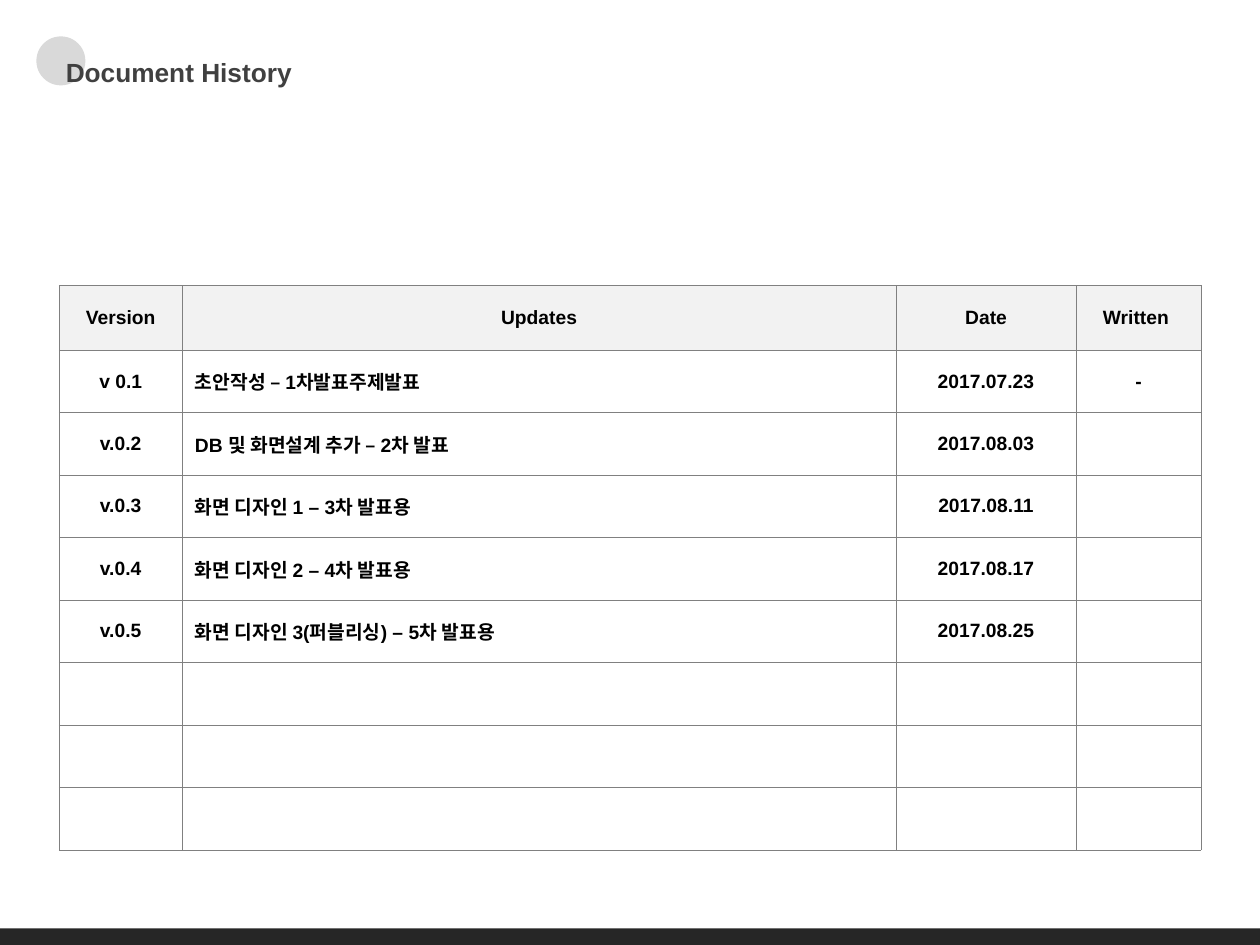
from lxml.etree import SubElement
from pptx import Presentation
from pptx.dml.color import RGBColor
from pptx.enum.shapes import MSO_SHAPE as Shape
from pptx.enum.text import MSO_ANCHOR as Anchor, MSO_AUTO_SIZE as AutoSize, PP_ALIGN as Align
from pptx.oxml import parse_xml
from pptx.oxml.ns import nsdecls, qn
from pptx.util import Pt

BLACK = RGBColor(0x00, 0x00, 0x00)
CHARCOAL = RGBColor(0x26, 0x26, 0x26)
DARK_GRAY = RGBColor(0x40, 0x40, 0x40)
BORDER_GRAY = RGBColor(0x80, 0x80, 0x80)
LIGHT_GRAY = RGBColor(0xD9, 0xD9, 0xD9)
HEADER_GRAY = RGBColor(0xF2, 0xF2, 0xF2)

COLUMN_WIDTHS = [70.4, 407.8, 103, 71.4]
HEADER_HEIGHT, ROW_HEIGHT = 36.9, 35.7
HISTORY = [
    ("Version", "Updates", "Date", "Written "),
    ("v 0.1", "초안작성 – 1차발표주제발표", "2017.07.23", "-"),
    ("v.0.2", "DB 및 화면설계 추가 – 2차 발표", "2017.08.03", ""),
    ("v.0.3", "화면 디자인 1 – 3차 발표용", "2017.08.11", ""),
    ("v.0.4", "화면 디자인 2 – 4차 발표용", "2017.08.17", ""),
    ("v.0.5", "화면 디자인 3(퍼블리싱) – 5차 발표용", "2017.08.25", ""),
] + [("", "", "", "")] * 3


class SlideBuilder:
    font_name = "Arial"

    def __init__(self, slide):
        self.slide = slide

    def style_text(self, paragraph, size, color, align):
        paragraph.alignment = align
        for run in paragraph.runs:
            font = run.font
            font.name, font.size, font.bold = self.font_name, Pt(size), True
            font.color.rgb = color

    def add_block(self, kind, left, top, width, height, color):
        shape = self.slide.shapes.add_shape(kind, Pt(left), Pt(top), Pt(width), Pt(height))
        shape.shadow.inherit = False
        shape.fill.solid()
        shape.fill.fore_color.rgb = color
        shape.line.fill.background()

    def set_title(self, text, left, top, width, height):
        title = self.slide.shapes.title
        title.left, title.top, title.width, title.height = map(Pt, (left, top, width, height))
        text_frame = title.text_frame
        text_frame.text = text
        text_frame.word_wrap = False
        text_frame.auto_size = AutoSize.NONE
        text_frame.vertical_anchor = Anchor.BOTTOM
        paragraph = text_frame.paragraphs[0]
        paragraph.line_spacing = 0.9
        self.style_text(paragraph, 15, DARK_GRAY, Align.LEFT)
        # Bring the title in front of the circle
        self.slide.shapes._spTree.append(title._element)

    def set_borders(self, cell):
        properties = cell._tc.get_or_add_tcPr()
        for index, side in enumerate(("lnL", "lnR", "lnT", "lnB")):
            line = parse_xml(f'<a:{side} {nsdecls("a")} w="{Pt(0.25)}"/>')
            fill = SubElement(line, qn("a:solidFill"))
            SubElement(fill, qn("a:srgbClr")).set("val", str(BORDER_GRAY))
            properties.insert(index, line)

    def fill_cell(self, cell, text, is_header, align):
        cell.text = text
        cell.vertical_anchor = Anchor.MIDDLE
        if is_header:
            cell.fill.solid()
            cell.fill.fore_color.rgb = HEADER_GRAY
        else:
            cell.fill.background()
        self.set_borders(cell)
        self.style_text(cell.text_frame.paragraphs[0], 11, BLACK, align)

    def add_table(self, rows, left, top):
        heights = [HEADER_HEIGHT] + [ROW_HEIGHT] * (len(rows) - 1)
        table = self.slide.shapes.add_table(
            len(rows), len(COLUMN_WIDTHS), Pt(left), Pt(top),
            Pt(sum(COLUMN_WIDTHS)), Pt(sum(heights))).table
        table.horz_banding = False
        for column, width in zip(table.columns, COLUMN_WIDTHS):
            column.width = Pt(width)
        for row_index, (row, height) in enumerate(zip(rows, heights)):
            table.rows[row_index].height = Pt(height)
            for column_index, text in enumerate(row):
                is_header = row_index == 0
                is_update = column_index == 1 and not is_header
                self.fill_cell(table.cell(row_index, column_index), text, is_header,
                               Align.LEFT if is_update else Align.CENTER)


def main():
    presentation = Presentation()
    presentation.slide_width, presentation.slide_height = Pt(720), Pt(540)
    title_only = presentation.slide_layouts[5]
    builder = SlideBuilder(presentation.slides.add_slide(title_only))

    # Circle behind the title and bar at the foot
    builder.add_block(Shape.OVAL, 20.8, 20.8, 28, 28, LIGHT_GRAY)
    builder.add_block(Shape.RECTANGLE, 0, 530.6, 720, 11.5, CHARCOAL)

    # Title and version table
    builder.set_title("Document History", 30.4, 28, 148.3, 26)
    builder.add_table(HISTORY, 33.8, 163.2)

    presentation.save("out.pptx")


if __name__ == "__main__":
    main()
